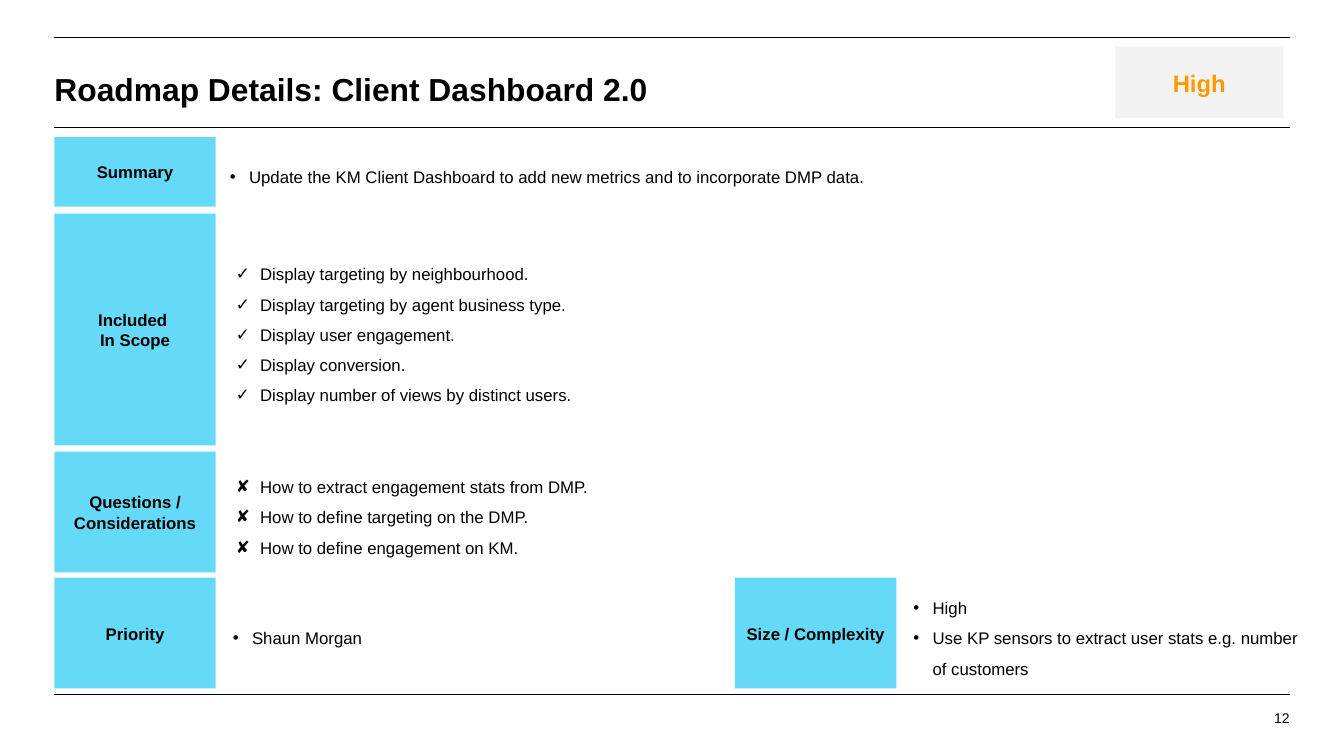
from lxml.etree import SubElement
from pptx import Presentation
from pptx.dml.color import RGBColor
from pptx.enum.shapes import MSO_CONNECTOR, MSO_SHAPE
from pptx.enum.text import MSO_ANCHOR, PP_ALIGN
from pptx.oxml.ns import qn
from pptx.util import Inches, Pt

BLACK = RGBColor(0x00, 0x00, 0x00)
SKY = RGBColor(0x65, 0xD9, 0xF8)
PALE_GREY = RGBColor(0xF3, 0xF3, 0xF3)
ORANGE = RGBColor(0xFF, 0x99, 0x00)

FONT = "Arial"
LEFT, RIGHT = 0.54, 12.79
LABEL_WIDTH = 1.6
TIGHT, LOOSE = 1.03, 1.5


def write(frame, lines, size=12, color=BLACK, bold=False, align=PP_ALIGN.LEFT,
          anchor=MSO_ANCHOR.MIDDLE, spacing=TIGHT, inset=0):
    """Fill a text frame, one paragraph per line."""
    frame.word_wrap = True
    frame.vertical_anchor = anchor
    frame.margin_left = frame.margin_right = 0
    frame.margin_top = frame.margin_bottom = Inches(inset)
    frame.text = "\n".join(lines)
    for paragraph in frame.paragraphs:
        paragraph.alignment = align
        paragraph.line_spacing = spacing
        paragraph.space_before = Pt(0)
        for run in paragraph.runs:
            run.font.name = FONT
            run.font.size = Pt(size)
            run.font.bold = bold
            run.font.color.rgb = color


def add_rule(slide, y):
    rule = slide.shapes.add_connector(
        MSO_CONNECTOR.STRAIGHT, Inches(LEFT), Inches(y), Inches(RIGHT), Inches(y))
    rule.line.color.rgb = BLACK
    rule.line.width = Pt(0.75)
    SubElement(rule._element.spPr, qn("a:effectLst"))


def add_block(slide, left, top, width, height, lines, fill=SKY, **style):
    block = slide.shapes.add_shape(
        MSO_SHAPE.RECTANGLE, Inches(left), Inches(top), Inches(width), Inches(height))
    block.shadow.inherit = False
    block.fill.solid()
    block.fill.fore_color.rgb = fill
    block.line.fill.background()
    write(block.text_frame, lines, bold=True, align=PP_ALIGN.CENTER, **style)


def add_text(slide, left, top, width, height, lines, **style):
    box = slide.shapes.add_textbox(
        Inches(left), Inches(top), Inches(width), Inches(height))
    write(box.text_frame, lines, **style)
    return box.text_frame


def add_list(slide, left, top, width, height, items, mark):
    frame = add_text(slide, left, top, width, height, items,
                     spacing=LOOSE, inset=0.1)
    indent = 0.2 if mark == "•" else 0.25
    for paragraph in frame.paragraphs:
        props = paragraph._p.get_or_add_pPr()
        props.set("marL", str(Inches(indent)))
        props.set("indent", str(Inches(0.01 - indent)))
        bullet_color = SubElement(props, qn("a:buClr"))
        SubElement(bullet_color, qn("a:srgbClr")).set("val", str(BLACK))
        SubElement(props, qn("a:buFont")).set("typeface", FONT)
        SubElement(props, qn("a:buChar")).set("char", mark)


def main():
    deck = Presentation()
    deck.slide_width, deck.slide_height = Inches(13.33), Inches(7.5)
    slide = deck.slides.add_slide(deck.slide_layouts[5])

    # Frame rules
    for y in (0.37, 1.27, 6.89):
        add_rule(slide, y)

    # Title and priority badge
    title = slide.shapes.title
    title.left, title.top = Inches(LEFT), Inches(0.52)
    title.width, title.height = Inches(12.26), Inches(0.71)
    write(title.text_frame, ["Roadmap Details: Client Dashboard 2.0"],
          size=22.7, bold=True)
    add_block(slide, 11.06, 0.46, 1.67, 0.71, ["High"],
              fill=PALE_GREY, size=17, color=ORANGE, inset=0.15)

    # Sections: label, label left, top, height, list left, list width, mark, items
    sections = [
        (["Summary"], LEFT, 1.36, 0.69, 2.27, 10.47, "•",
         ["Update the KM Client Dashboard to add new metrics "
          "and to incorporate DMP data."]),
        (["Included ", "In Scope"], LEFT, 2.12, 2.3, 2.33, 10.47, "✓",
         ["Display targeting by neighbourhood.",
          "Display targeting by agent business type.",
          "Display user engagement.",
          "Display conversion.",
          "Display number of views by distinct users."]),
        (["Questions / Considerations"], LEFT, 4.48, 1.2, 2.33, 10.4, "✘",
         ["How to extract engagement stats from DMP.",
          "How to define targeting on the DMP.",
          "How to define engagement on KM."]),
        (["Priority"], LEFT, 5.73, 1.1, 2.3, 4.73, "•", ["Shaun Morgan"]),
        (["Size / Complexity"], 7.29, 5.73, 1.1, 9.05, 3.94, "•",
         ["High",
          "Use KP sensors to extract user stats e.g. number of customers"]),
    ]
    for label, label_left, top, height, list_left, list_width, mark, items in sections:
        add_block(slide, label_left, top, LABEL_WIDTH, height, label, inset=0.15)
        add_list(slide, list_left, top, list_width, height, items, mark)

    # Page number
    add_text(slide, 10.99, 7.04, 1.8, 0.32, ["12"], size=10,
             align=PP_ALIGN.RIGHT, anchor=MSO_ANCHOR.TOP, spacing=1.0)

    deck.save("out.pptx")


if __name__ == "__main__":
    main()
